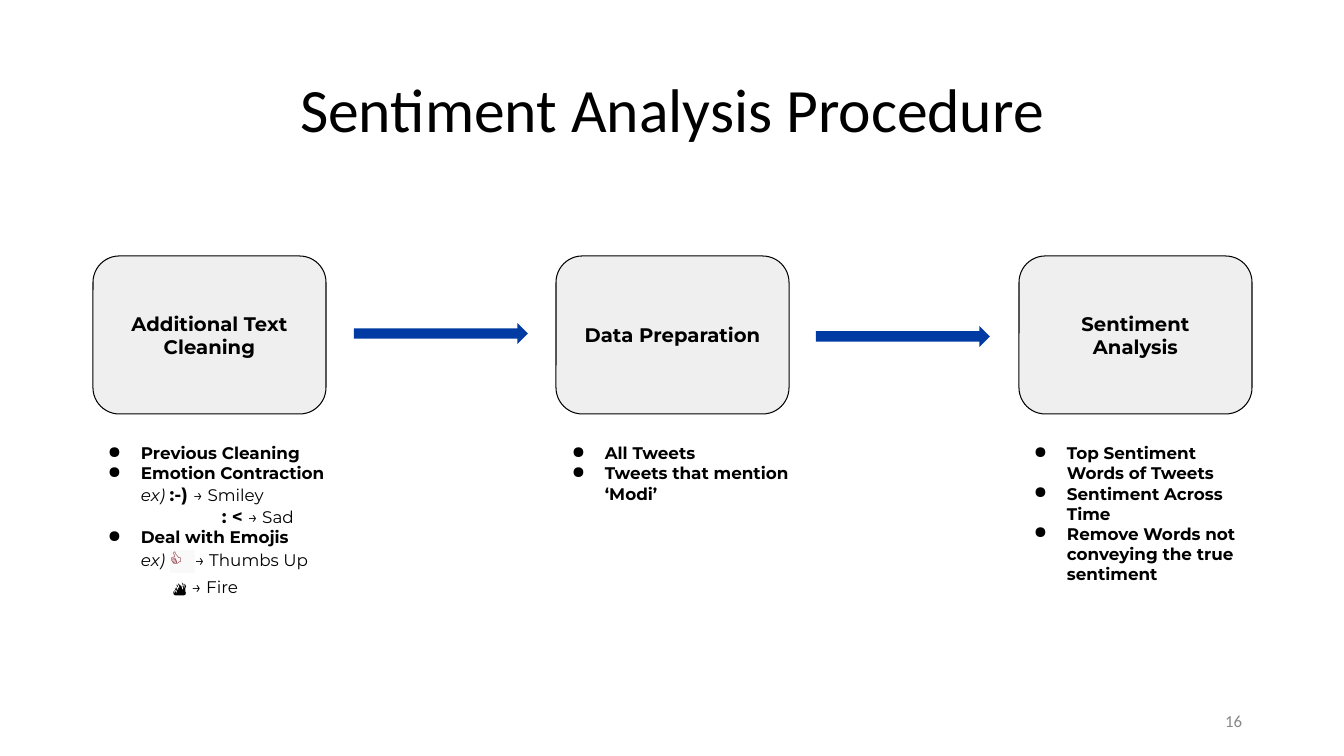
from lxml import etree
from pptx import Presentation
from pptx.dml.color import RGBColor
from pptx.enum.shapes import MSO_SHAPE
from pptx.enum.text import MSO_ANCHOR, PP_ALIGN
from pptx.oxml.ns import qn
from pptx.util import Pt

PX = 9071
ROUND, ARROW = MSO_SHAPE.ROUNDED_RECTANGLE, MSO_SHAPE.RIGHT_ARROW
MIDDLE, TOP = MSO_ANCHOR.MIDDLE, MSO_ANCHOR.TOP
CENTER, RIGHT = PP_ALIGN.CENTER, PP_ALIGN.RIGHT
BLACK, BLUE, GRAY, PALE = "000000", "003BA3", "888888", "EFEFEF"
BODY = "Montserrat"


def hue(code):
    return RGBColor.from_string(code)


def write(para, text, size=12, face=BODY, color=BLACK, bold=False, slant=False, mark=None):
    run = para.add_run()
    run.text = text
    font = run.font
    font.size, font.bold, font.italic = Pt(size), bold, slant
    font.color.rgb = hue(color)
    if mark:
        glow = etree.Element(qn("a:highlight"))
        etree.SubElement(glow, qn("a:srgbClr"), val=mark)
        run._r.rPr.find(qn("a:solidFill")).addnext(glow)
    font.name = face


deck = Presentation()
deck.slide_width, deck.slide_height = 1344 * PX, 756 * PX
slide = deck.slides.add_slide(deck.slide_layouts[5])
shapes = slide.shapes

title = shapes.title
title.left, title.top, title.width, title.height = 93 * PX, 40 * PX, 1159 * PX, 146 * PX
title.text_frame.vertical_anchor = MIDDLE
para = title.text_frame.paragraphs[0]
para.alignment, para.line_spacing = CENTER, 0.9
write(para, "Sentiment Analysis Procedure", size=44, face="Calibri")

for step, label in enumerate(["Additional Text Cleaning", "Data Preparation", "Sentiment Analysis"]):
    card = shapes.add_shape(ROUND, (93 + 463 * step) * PX, 256 * PX, 233 * PX, 158 * PX)
    card.shadow.inherit = False
    card.fill.solid()
    card.fill.fore_color.rgb = hue(PALE)
    card.line.color.rgb = hue(BLACK)
    card.line.width = Pt(0.75)
    frame = card.text_frame
    frame.word_wrap, frame.vertical_anchor = True, MIDDLE
    frame.margin_top = frame.margin_bottom = 10 * PX
    para = frame.paragraphs[0]
    para.alignment = CENTER
    write(para, label, size=14, bold=True)

for left, top in [(354, 323), (816, 326)]:
    arrow = shapes.add_shape(ARROW, left * PX, top * PX, 174 * PX, 21 * PX)
    arrow.shadow.inherit = False
    arrow.fill.solid()
    arrow.fill.fore_color.rgb = hue(BLUE)
    arrow.line.fill.background()

SMILE = dict(size=13, bold=True)
THUMB = dict(size=14, face="Courier New", color="821A26", mark="F9F9F9")
FIRE = dict(size=10, face="Arial")
EX = ("ex) ", dict(slant=True))
lists = [
    (81, 256, 217, [
        "Previous Cleaning",
        "Emotion Contraction",
        (50, [EX, (":-) ", SMILE), ("→ Smiley", {})]),
        (131, [(": < ", SMILE), ("→ Sad", {})]),
        "Deal with Emojis",
        (50, [EX, ("👍 ", THUMB), ("→ Thumbs Up", {})]),
        (82, [("🔥\t", FIRE), ("→ Fire", {})]),
    ]),
    (545, 286, 82, ["All Tweets", "Tweets that mention ‘Modi’"]),
    (1007, 245, 163, [
        "Top Sentiment Words of Tweets",
        "Sentiment Across Time",
        "Remove Words not conveying the true sentiment",
    ]),
]
for left, width, height, lines in lists:
    frame = shapes.add_textbox(left * PX, 433 * PX, width * PX, height * PX).text_frame
    frame.word_wrap, frame.vertical_anchor = True, TOP
    frame.margin_top = frame.margin_bottom = 10 * PX
    for row, line in enumerate(lines):
        para = frame.add_paragraph() if row else frame.paragraphs[0]
        props = para._p.get_or_add_pPr()
        if isinstance(line, str):
            props.set("marL", str(50 * PX))
            props.set("indent", str(-33 * PX))
            tint = etree.SubElement(props, qn("a:buClr"))
            etree.SubElement(tint, qn("a:srgbClr"), val=BLACK)
            etree.SubElement(props, qn("a:buChar"), char="●")
            write(para, line, bold=True)
            continue
        inset, runs = line
        props.set("marL", "0")
        props.set("indent", str(inset * PX))
        if "\t" in runs[0][0]:
            para.line_spacing = 1.31
            tabs = etree.SubElement(props, qn("a:tabLst"))
            etree.SubElement(tabs, qn("a:tab"), pos=str(176 * PX), algn="l")
        for text, style in runs:
            write(para, text, **style)

frame = shapes.add_textbox(950 * PX, 701 * PX, 302 * PX, 40 * PX).text_frame
frame.word_wrap, frame.vertical_anchor = True, MIDDLE
para = frame.paragraphs[0]
para.alignment = RIGHT
write(para, "16", face="Calibri", color=GRAY)

deck.save("out.pptx")
